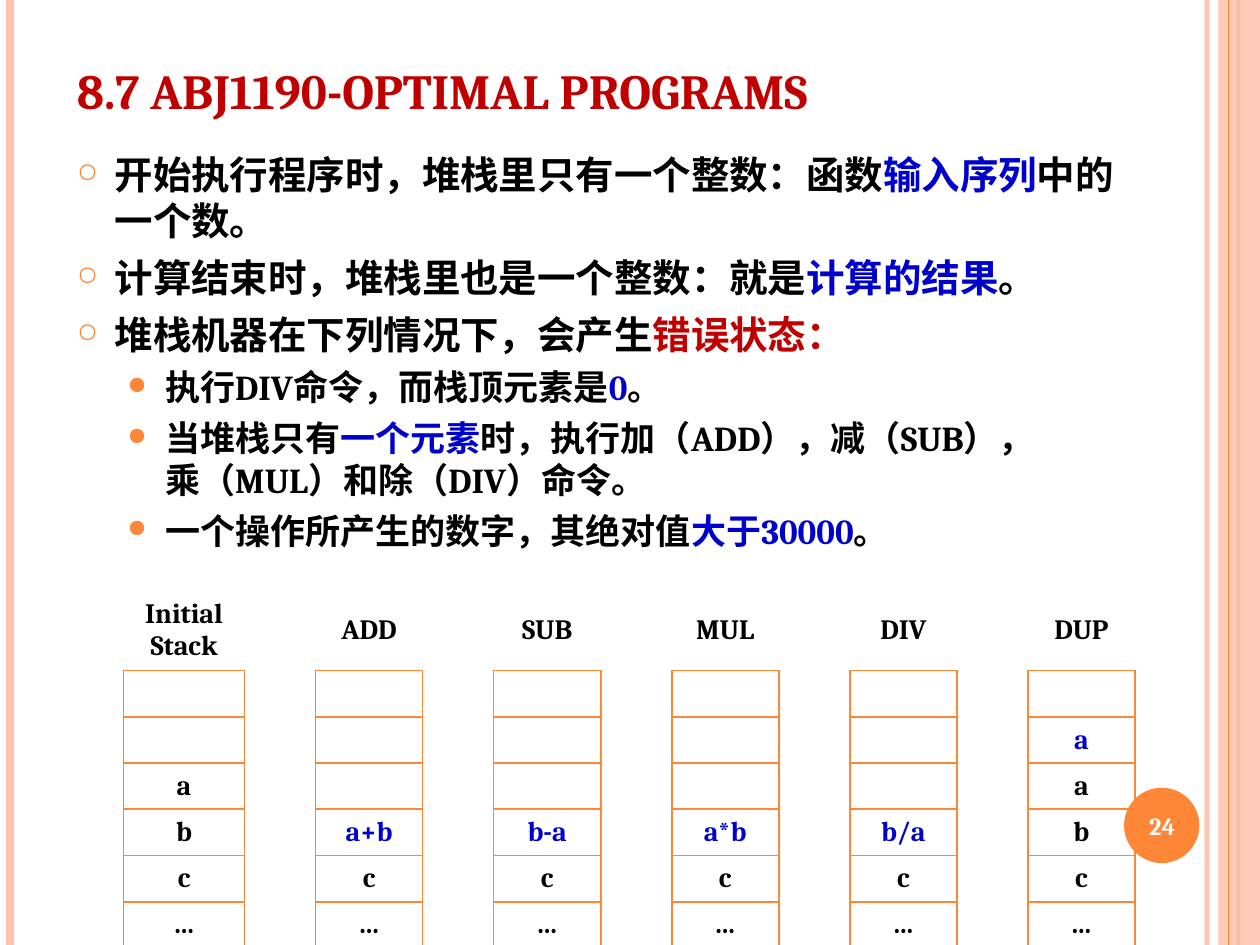
from lxml.etree import SubElement as Sub
from pptx import Presentation
from pptx.dml.color import RGBColor as Rgb
from pptx.enum.shapes import MSO_CONNECTOR as Conn, MSO_SHAPE as Kind
from pptx.enum.text import MSO_ANCHOR as Anchor, PP_ALIGN as Align
from pptx.oxml.ns import qn
from pptx.util import Cm, Pt

HUES = {"orange": "FE8637", "peach": "FEC3AE", "red": "C00000",
        "blue": "0000CC", "black": "000000", "white": "FFFFFF"}
FONT = "Cambria"
BODY = [
    (0, [("开始执行程序时，堆栈里只有一个整数：函数", "black"),
         ("输入序列", "blue"), ("中的一个数。", "black")]),
    (0, [("计算结束时，堆栈里也是一个整数：就是", "black"),
         ("计算的结果", "blue"), ("。", "black")]),
    (0, [("堆栈机器在下列情况下，会产生", "black"), ("错误状态：", "red")]),
    (1, [("执行DIV命令，而栈顶元素是", "black"), ("0", "blue"), ("。", "black")]),
    (1, [("当堆栈只有", "black"), ("一个元素", "blue"),
         ("时，执行加（ADD），减（SUB），\n乘（MUL）和除（DIV）命令。", "black")]),
    (1, [("一个操作所产生的数字，其绝对值", "black"),
         ("大于30000", "blue"), ("。", "black")]),
]
LEVELS = [("○", 22, 6, 0.3), ("●", 20, 5, 0.7)]
STACKS = [
    ("Initial Stack", ["", "", "a", "b", "c", "…"], None),
    ("ADD", ["", "", "", "a+b", "c", "…"], 4),
    ("SUB", ["", "", "", "b-a", "c", "…"], 4),
    ("MUL", ["", "", "", "a*b", "c", "…"], 4),
    ("DIV", ["", "", "", "b/a", "c", "…"], 4),
    ("DUP", ["", "a", "a", "b", "c", "…"], 2),
]


def hue(name):
    """Return the named colour."""
    return Rgb.from_string(HUES[name])


def fade(fill, share):
    """Set the opacity of a solid fill element, in percent."""
    Sub(fill.find(qn("a:srgbClr")), qn("a:alpha"), val=str(share * 1000))


def add_rule(slide, left, name, width, share=100):
    """Draw a full-height vertical line."""
    rule = slide.shapes.add_connector(
        Conn.STRAIGHT, Cm(left), Cm(0), Cm(left), Cm(19.05))
    rule.line.color.rgb = hue(name)
    rule.line.width = Pt(width)
    props = rule._element.spPr
    if share < 100:
        fade(props.find(qn("a:ln")).find(qn("a:solidFill")), share)
    Sub(props, qn("a:effectLst"))


def add_form(slide, kind, box, name, share=100):
    """Draw a filled shape without outline."""
    form = slide.shapes.add_shape(kind, *map(Cm, box))
    form.shadow.inherit = False
    form.fill.solid()
    form.fill.fore_color.rgb = hue(name)
    form.line.fill.background()
    if share < 100:
        fade(form._element.spPr.find(qn("a:solidFill")), share)


def add_run(para, text, size, name):
    """Add bold text, with a line break at each newline."""
    for num, part in enumerate(text.split("\n")):
        if num:
            para.add_line_break()
        run = para.add_run()
        run.text = part
        run.font.size = Pt(size)
        run.font.name = FONT
        run.font.bold = True
        run.font.color.rgb = hue(name)


def add_box(slide, box, anchor):
    """Add a wrapping text box and return its frame."""
    frame = slide.shapes.add_textbox(*map(Cm, box)).text_frame
    frame.word_wrap = True
    frame.vertical_anchor = anchor
    return frame


def set_bullet(para, level):
    """Give a paragraph the bullet, indent and spacing of its level."""
    mark, size, gap, left = LEVELS[level]
    para.level = level
    para.space_before = Pt(gap)
    props = para._p.get_or_add_pPr()
    props.set("marL", str(Cm(left * 2.54)))
    props.set("indent", str(-Cm(0.76)))
    tint = Sub(props, qn("a:buClr"))
    Sub(tint, qn("a:srgbClr"), val=HUES["orange"])
    Sub(props, qn("a:buSzPct"), val="70000")
    Sub(props, qn("a:buChar"), char=mark)
    return size


def add_body(slide):
    """Write the two-level bullet list."""
    frame = add_box(slide, (1.3, 2.92, 21.82, 11.89), Anchor.TOP)
    for num, (level, parts) in enumerate(BODY):
        para = frame.add_paragraph() if num else frame.paragraphs[0]
        size = set_bullet(para, level)
        for text, name in parts:
            add_run(para, text, size, name)


def set_edges(cell, sides):
    """Draw the given sides of a cell and clear the others."""
    props = cell._tc.get_or_add_tcPr()
    for side in "LRTB":
        edge = Sub(props, qn("a:ln" + side), w=str(Pt(1.08)))
        if side in sides:
            fill = Sub(edge, qn("a:solidFill"))
            Sub(fill, qn("a:srgbClr"), val=HUES["orange"])
        else:
            Sub(edge, qn("a:noFill"))
    cell.fill.background()


def fill_cell(cell, text, name):
    """Write centred cell text, or size the empty line."""
    para = cell.text_frame.paragraphs[0]
    para.alignment = Align.CENTER
    cell.vertical_anchor = Anchor.TOP if text == "…" else Anchor.MIDDLE
    if text:
        add_run(para, text, 16, name)
    else:
        Sub(para._p, qn("a:endParaRPr"), sz="1600", b="1")


def add_stacks(slide):
    """Build the table of stacks, with a gap column between them."""
    rows, cols = 7, 2 * len(STACKS) - 1
    grid = slide.shapes.add_table(
        rows, cols, Cm(2.49), Cm(11.91), Cm(20.4), Cm(5.41)).table
    grid.first_row = grid.horz_banding = False
    for col in range(cols):
        grid.columns[col].width = Cm(1.43 if col % 2 else 2.16 if col else 2.44)
    for row in range(rows):
        grid.rows[row].height = Cm(0.69 if row else 1.35)
        for col in range(cols):
            cell = grid.cell(row, col)
            if col:
                cell.margin_left = cell.margin_right = Cm(0.18)
            if col % 2:
                set_edges(cell, "LR" if row else "")
                fill_cell(cell, "", "black")
            else:
                head, items, new = STACKS[col // 2]
                set_edges(cell, "LRTB" if row else "B")
                fill_cell(cell, [head, *items][row],
                          "blue" if row == new else "black")


def main():
    """Build and save the slide."""
    deck = Presentation()
    deck.slide_width, deck.slide_height = Cm(25.4), Cm(19.05)
    slide = deck.slides.add_slide(deck.slide_layouts[6])
    add_rule(slide, 24.33, "peach", 3, 93)
    add_rule(slide, 0.2, "peach", 4.5)
    add_rule(slide, 24.97, "orange", 1.5)
    add_form(slide, Kind.RECTANGLE, (24.56, 0, 0.84, 19.05), "peach", 87)
    add_rule(slide, 24.77, "orange", 0.75)
    add_form(slide, Kind.OVAL, (22.66, 15.88, 1.52, 1.52), "orange")
    title = add_box(slide, (1.3, 0.33, 22.83, 2.21), Anchor.BOTTOM)
    add_run(title.paragraphs[0], "8.7 ABJ1190-OPTIMAL PROGRAMS", 28, "red")
    add_body(slide)
    page = add_box(slide, (22.58, 15.93, 1.7, 1.45), Anchor.MIDDLE)
    page.paragraphs[0].alignment = Align.CENTER
    add_run(page.paragraphs[0], "24", 14, "white")
    add_stacks(slide)


    deck.save("out.pptx")


if __name__ == "__main__":
    main()
